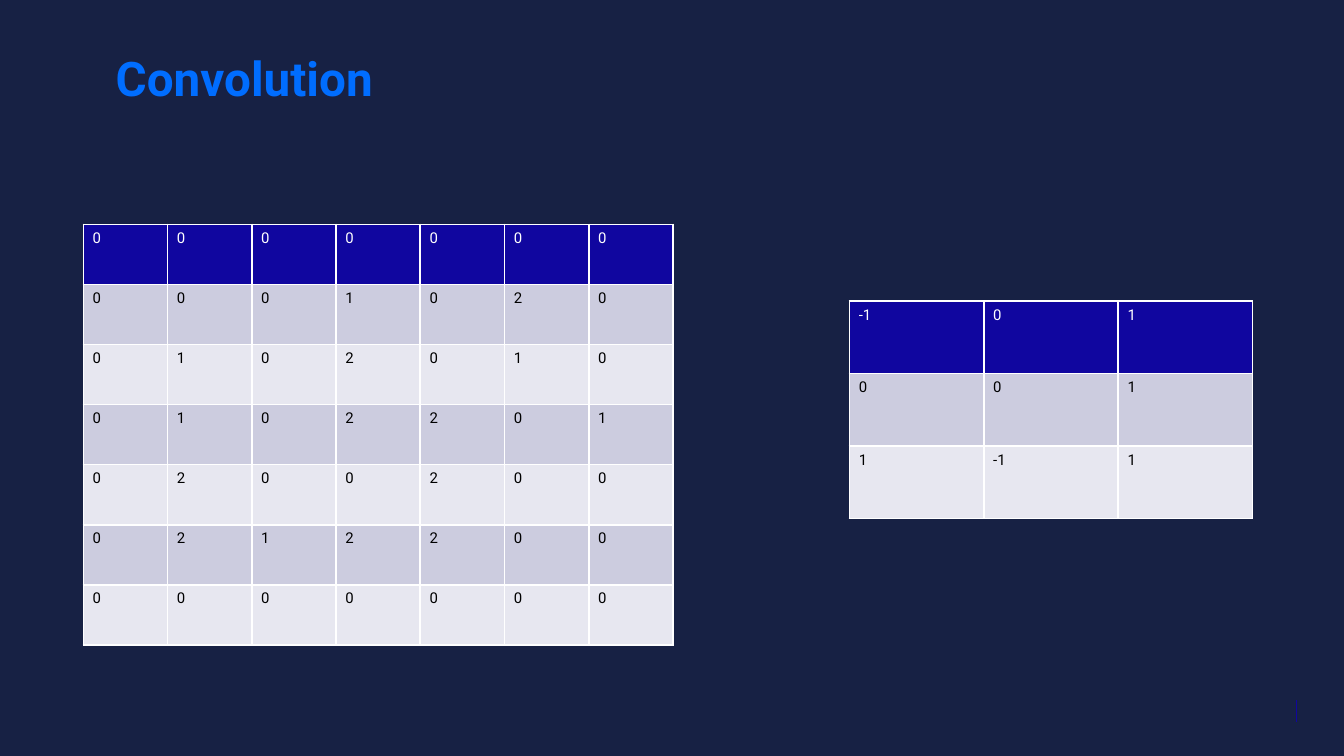
from lxml import etree
from pptx import Presentation
from pptx import util as u
from pptx.dml.color import RGBColor
from pptx.enum import shapes, text
from pptx.oxml import ns

COLORS = {
    "background": "172144",
    "title": "006DFF",
    "header": "10069F",
    "band_dark": "CCCCDF",
    "band_light": "E7E7F0",
    "white": "FFFFFF",
    "black": "000000",
}
PAGE_WIDTH = 10
PAGE_HEIGHT = PAGE_WIDTH * 9 / 16
FONT = "Roboto"
TITLE_FORMAT = {"name": FONT, "size": u.Pt(25.5), "bold": True}
CELL_FORMAT = {"name": FONT, "size": u.Pt(8), "bold": False}
CELL_MARGINS = {
    "margin_left": u.Inches(0.07),
    "margin_right": u.Inches(0.07),
    "margin_top": u.Inches(0.04),
    "margin_bottom": u.Inches(0.04),
}
NO_MARGINS = dict.fromkeys(CELL_MARGINS, 0)

INPUT_MATRIX = [
    [0, 0, 0, 0, 0, 0, 0],
    [0, 0, 0, 1, 0, 2, 0],
    [0, 1, 0, 2, 0, 1, 0],
    [0, 1, 0, 2, 2, 0, 1],
    [0, 2, 0, 0, 2, 0, 0],
    [0, 2, 1, 2, 2, 0, 0],
    [0, 0, 0, 0, 0, 0, 0],
]
KERNEL = [
    [-1, 0, 1],
    [0, 0, 1],
    [1, -1, 1],
]


def rgb(name):
    return RGBColor.from_string(COLORS[name])


def set_all(target, values):
    for name, value in values.items():
        setattr(target, name, value)


def write(para, words, color, font_format):
    span = para.add_run()
    span.text = words
    set_all(span.font, font_format)
    span.font.color.rgb = rgb(color)


def add_borders(cell, color, points):
    properties = cell._tc.get_or_add_tcPr()
    # Border lines must come before the fill
    for index, side in enumerate(("lnL", "lnR", "lnT", "lnB")):
        line = etree.Element(ns.qn(f"a:{side}"), w=str(u.Pt(points)))
        fill = etree.SubElement(line, ns.qn("a:solidFill"))
        etree.SubElement(fill, ns.qn("a:srgbClr"), val=COLORS[color])
        properties.insert(index, line)


def add_title(page, left, top, width, height):
    box = page.shapes.add_textbox(*map(u.Inches, (left, top, width, height)))
    frame = box.text_frame
    set_all(frame, {"word_wrap": True, "vertical_anchor": text.MSO_ANCHOR.TOP, **NO_MARGINS})
    para = frame.paragraphs[0]
    para.line_spacing = 0.9
    write(para, "Convolution", "title", TITLE_FORMAT)


def add_matrix(page, values, left, top, width, height):
    rows, columns = len(values), len(values[0])
    box = page.shapes.add_table(rows, columns, *map(u.Inches, (left, top, width, height)))
    table = box.table
    for column in table.columns:
        column.width = u.Inches(width / columns)
    for row in table.rows:
        row.height = u.Inches(height / rows)

    for i, numbers in enumerate(values):
        # Dark header row, then alternating bands
        fill = "header" if i == 0 else "band_dark" if i % 2 else "band_light"
        color = "white" if i == 0 else "black"
        for j, number in enumerate(numbers):
            cell = table.cell(i, j)
            set_all(cell, CELL_MARGINS)
            cell.fill.solid()
            cell.fill.fore_color.rgb = rgb(fill)
            add_borders(cell, "white", 1)
            write(cell.text_frame.paragraphs[0], str(number), color, CELL_FORMAT)


def add_footer_mark(page, left, top, height):
    mark = page.shapes.add_connector(
        shapes.MSO_CONNECTOR.STRAIGHT,
        *map(u.Inches, (left, top, left, top + height)),
    )
    mark.line.color.rgb = rgb("header")
    mark.line.width = u.Pt(0.5)
    etree.SubElement(mark._element.spPr, ns.qn("a:effectLst"))


def main():
    deck = Presentation()
    deck.slide_width, deck.slide_height = u.Inches(PAGE_WIDTH), u.Inches(PAGE_HEIGHT)
    page = deck.slides.add_slide(deck.slide_layouts[6])
    page.background.fill.solid()
    page.background.fill.fore_color.rgb = rgb("background")

    add_footer_mark(page, 9.65, 5.21, 0.16)
    add_title(page, 0.86, 0.41, 6.88, 0.24)
    # Padded input on the left, kernel on the right
    add_matrix(page, INPUT_MATRIX, 0.62, 1.67, 4.39, 3.13)
    add_matrix(page, KERNEL, 6.32, 2.24, 3, 1.62)

    deck.save("out.pptx")


if __name__ == "__main__":
    main()
